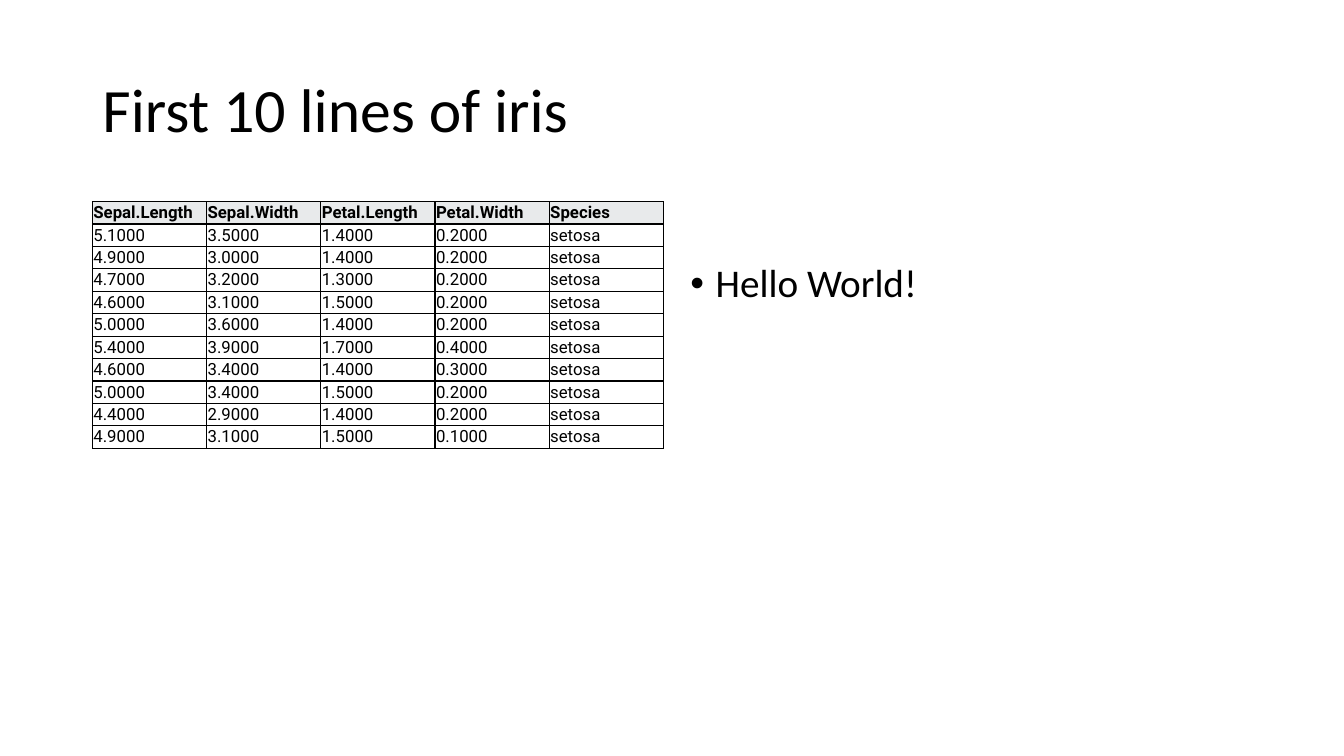
from dataclasses import dataclass

from lxml import etree
from pptx import Presentation
from pptx import util as u
from pptx.dml.color import RGBColor
from pptx.enum import text
from pptx.oxml import ns


@dataclass(frozen=True)
class Theme:
    """Colours, fonts and type sizes of the slide."""
    ink: str = "000000"
    paper: str = "FFFFFF"
    header: str = "E8EAEB"
    text_font: str = "Calibri"
    table_font: str = "Roboto"
    title_size: int = 44
    body_size: int = 28
    table_size: int = 12
    rule: int = 1


def assign(target, values):
    """Set each named attribute on the target."""
    for name, value in values.items():
        setattr(target, name, value)


class Deck:
    """Slide builder on a grid of 160 columns by 90 rows."""
    COLUMNS, ROWS = 160, 90

    def __init__(self, theme):
        """Start a wide presentation with one titled slide."""
        self.theme = theme
        self.show = Presentation()
        assign(self.show, {"slide_width": u.Inches(13.33), "slide_height": u.Inches(7.5)})
        self.slide = self.show.slides.add_slide(self.show.slide_layouts[1])

    def box(self, column, row, columns, rows):
        """Turn grid units into left, top, width and height."""
        across = self.show.slide_width / self.COLUMNS
        down = self.show.slide_height / self.ROWS
        return {"left": u.Emu(round(column * across)), "top": u.Emu(round(row * down)),
                "width": u.Emu(round(columns * across)), "height": u.Emu(round(rows * down))}

    def styled_run(self, paragraph, words, font, size, bold=False, **spacing):
        """Put one styled run in a paragraph."""
        assign(paragraph, {"alignment": text.PP_ALIGN.LEFT, **spacing})
        run = paragraph.add_run()
        run.text = words
        assign(run.font, {"name": font, "size": u.Pt(size), "bold": bold})
        run.font.color.rgb = RGBColor.from_string(self.theme.ink)

    def title(self, words, area):
        """Fill the title placeholder."""
        heading = self.slide.shapes.title
        assign(heading, self.box(*area))
        assign(heading.text_frame, {"vertical_anchor": text.MSO_ANCHOR.MIDDLE,
                                    "auto_size": text.MSO_AUTO_SIZE.NONE})
        self.styled_run(heading.text_frame.paragraphs[0], words, self.theme.text_font,
                        self.theme.title_size, line_spacing=0.9)

    def bullets(self, points, area, drop):
        """Fill the body placeholder, starting a given drop below its top."""
        body = self.slide.placeholders[1]
        assign(body, self.box(*area))
        frame = body.text_frame
        assign(frame, {"margin_top": u.Inches(drop), "auto_size": text.MSO_AUTO_SIZE.NONE,
                       "vertical_anchor": text.MSO_ANCHOR.TOP})
        for index, point in enumerate(points):
            paragraph = frame.add_paragraph() if index else frame.paragraphs[0]
            self.styled_run(paragraph, point, self.theme.text_font, self.theme.body_size,
                            line_spacing=0.9, space_before=u.Pt(10))
            properties = paragraph._p.get_or_add_pPr()
            properties.set("marL", str(u.Inches(0.25)))
            properties.set("indent", str(-u.Inches(0.25)))
            etree.SubElement(properties, ns.qn("a:buFont")).set("typeface", "Arial")
            etree.SubElement(properties, ns.qn("a:buChar")).set("char", "•")

    def rule_cell(self, cell):
        """Draw a thin line on all four sides of a cell."""
        properties = cell._tc.get_or_add_tcPr()
        for index, side in enumerate(("lnL", "lnR", "lnT", "lnB")):
            edge = etree.Element(ns.qn(f"a:{side}"), w=str(u.Pt(self.theme.rule)))
            fill = etree.SubElement(edge, ns.qn("a:solidFill"))
            etree.SubElement(fill, ns.qn("a:srgbClr")).set("val", self.theme.ink)
            properties.insert(index, edge)

    def table(self, records, area):
        """Add a ruled table whose first record is the header."""
        grid = self.slide.shapes.add_table(len(records), len(records[0]),
                                           **self.box(*area)).table
        inset = u.Inches(0.01)
        for row, record in enumerate(records):
            for column, value in enumerate(record):
                cell = grid.cell(row, column)
                assign(cell, {"margin_left": inset, "margin_right": inset,
                              "margin_top": inset, "margin_bottom": inset,
                              "vertical_anchor": text.MSO_ANCHOR.MIDDLE})
                cell.fill.solid()
                shade = self.theme.paper if row else self.theme.header
                cell.fill.fore_color.rgb = RGBColor.from_string(shade)
                self.rule_cell(cell)
                self.styled_run(cell.text_frame.paragraphs[0], value, self.theme.table_font,
                                self.theme.table_size, bold=row == 0,
                                space_before=u.Pt(0.6), space_after=u.Pt(0.6))


IRIS_HEADER = ["Sepal.Length", "Sepal.Width", "Petal.Length", "Petal.Width", "Species"]
IRIS_SIZES = [
    (5.1, 3.5, 1.4, 0.2),
    (4.9, 3.0, 1.4, 0.2),
    (4.7, 3.2, 1.3, 0.2),
    (4.6, 3.1, 1.5, 0.2),
    (5.0, 3.6, 1.4, 0.2),
    (5.4, 3.9, 1.7, 0.4),
    (4.6, 3.4, 1.4, 0.3),
    (5.0, 3.4, 1.5, 0.2),
    (4.4, 2.9, 1.4, 0.2),
    (4.9, 3.1, 1.5, 0.1),
]


def main():
    """Build the iris slide and save it."""
    deck = Deck(Theme())
    flowers = [[f"{size:.4f}" for size in sizes] + ["setosa"] for sizes in IRIS_SIZES]
    deck.title("First 10 lines of iris", (11, 4.7, 138, 17.4))
    deck.table([IRIS_HEADER] + flowers, (11, 24, 68, 29.4))
    deck.bullets(["Hello World!"], (81, 24, 68, 57), drop=0.62)
    deck.show.save("out.pptx")


if __name__ == "__main__":
    main()
